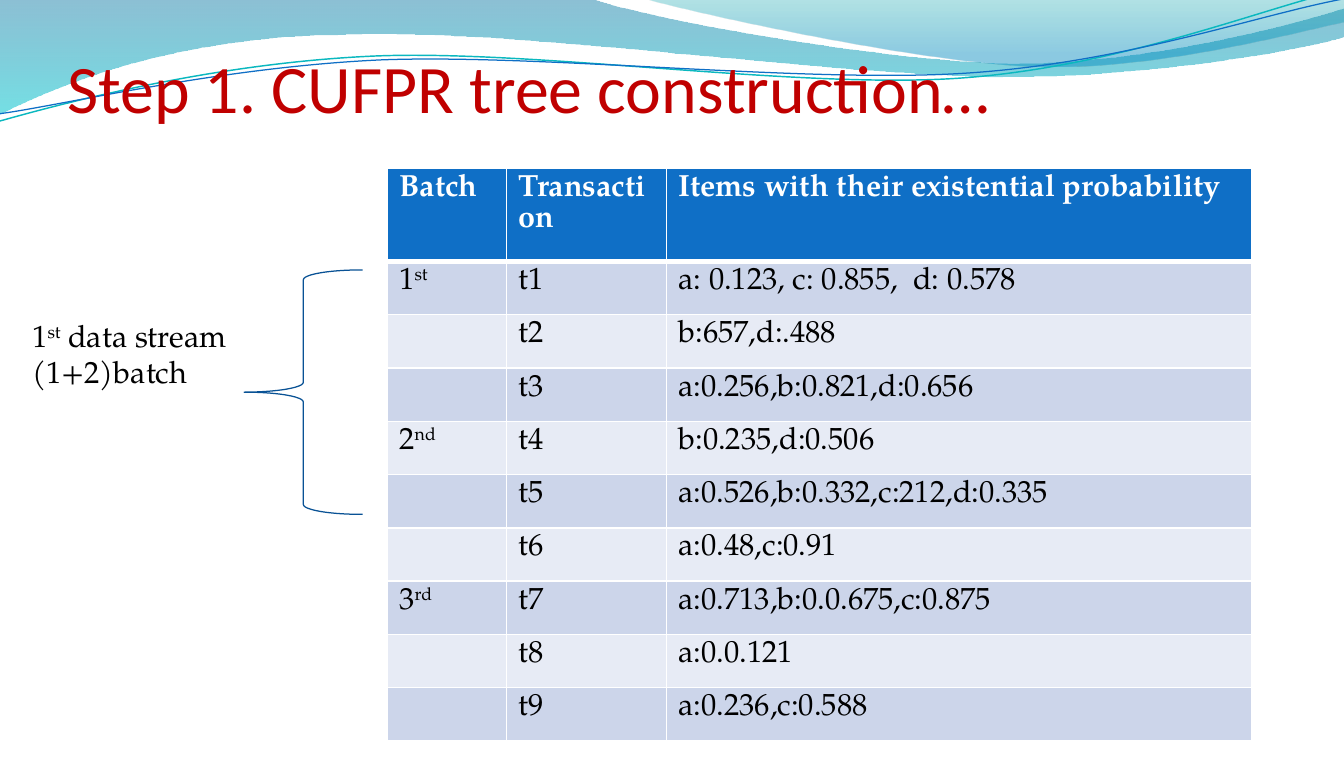
import math
import pptx
import pptx.util
import pptx.dml.color
import pptx.enum.shapes
import pptx.enum.text
import pptx.oxml
import pptx.oxml.ns
import lxml.etree

Pt = pptx.util.Pt
RGBColor = pptx.dml.color.RGBColor
qn = pptx.oxml.ns.qn

WHITE = RGBColor(0xFF, 0xFF, 0xFF)
BLACK = RGBColor(0, 0, 0)
RED = RGBColor(0xC0, 0, 0)
BLUE = RGBColor(0x0F, 0x6F, 0xC6)
CYAN = RGBColor(0x0A, 0xB8, 0xBF)
NAVY = RGBColor(0x09, 0x52, 0x95)
BAND_DARK = RGBColor(0xCC, 0xD5, 0xEA)
BAND_LIGHT = RGBColor(0xE7, 0xEB, 0xF5)
DEEP_BLUE = RGBColor(0, 0x74, 0xA1)
TURQUOISE = RGBColor(0, 0xC6, 0xCF)
TEAL = RGBColor(0, 0xA1, 0xA9)
SKY = RGBColor(0, 0x8B, 0xBF)
SERIF = "TeX Gyre Pagella"
TILT = -2.7

WAVES = [
    ([(0, 0), (348.5, -0.7),
      (376.6, 10.1, 525.6, 37.4, 600.5, 37.4), (675.4, 37.4, 758.9, 15.1, 792, 5),
      (792.7, 21.6), (779, 26.6, 689, 45.4, 590.4, 45.4),
      (492.5, 45.4, 302.4, 16.6, 203.8, 20.5), (102.2, 21.6, 36, 49.7, -0.7, 67.7),
      (0, 0)],
     [(0, DEEP_BLUE, 45), (1, TURQUOISE, 55)]),
    ([(379.4, -0.7), (403.2, 6.5, 540, 36.7, 609.1, 38.9),
      (677.5, 41.8, 761.8, 19.4, 792, 13), (792, 0), (379.4, -0.7)],
     [(0, TEAL, 30), (0.8, SKY, 45)]),
]
STRANDS = [
    ([(0, 71.3), (38.2, 60.5, 125.3, 37.4, 218.9, 33.1),
      (313.2, 28.8, 468.7, 52.6, 564.5, 46.1), (659.5, 39.6, 743.8, 5, 790.6, -5.8)],
     (395.3, 34.2), CYAN, 0.85),
    ([(0, 67), (37.4, 61.9, 129.6, 39.6, 224.6, 35.3),
      (319, 31.7, 473, 49, 567.4, 43.2), (662.4, 37.4, 741.6, 8.6, 792, -0.7)],
     (396, 35.3), BLUE, 0.75),
]
HEADER = ("Batch", "Transaction", "Items with their existential probability")
COLUMNS = (70.2, 94.3, 345)
ITEMS = [
    "a: 0.123, c: 0.855,  d: 0.578", "b:657,d:.488", "a:0.256,b:0.821,d:0.656",
    "b:0.235,d:0.506", "a:0.526,b:0.332,c:212,d:0.335", "a:0.48,c:0.91",
    "a:0.713,b:0.0.675,c:0.875", "a:0.0.121", "a:0.236,c:0.588",
]
BATCHES = {1: ("1", "st "), 4: ("2", "nd "), 7: ("3", "rd ")}


def level(steps, pivot):
    """Turn the steps about the pivot so that the tilt is undone."""
    sine, cosine = math.sin(math.radians(-TILT)), math.cos(math.radians(-TILT))
    turned = []
    for step in steps:
        flat = []
        for x, y in zip(step[::2], step[1::2]):
            x, y = x - pivot[0], y - pivot[1]
            flat += [pivot[0] + x * cosine - y * sine, pivot[1] + x * sine + y * cosine]
        turned.append(tuple(flat))
    return turned


def add_outline(page, left, top, steps, close):
    """Draw an outline of straight and cubic steps."""
    ends = [(Pt(left + step[-2]), Pt(top + step[-1])) for step in steps]
    builder = page.shapes.build_freeform(*ends[0], scale=1.0)
    builder.add_line_segments(ends[1:], close=close)
    shape = builder.convert_to_shape()
    shape.shadow.inherit = False
    segments = list(shape.element.spPr.iter(qn("a:lnTo")))
    for segment, step in zip(segments, steps[1:]):
        if len(step) == 6:
            curve = lxml.etree.Element(qn("a:cubicBezTo"))
            for x, y in zip(step[::2], step[1::2]):
                lxml.etree.SubElement(
                    curve, qn("a:pt"), x=str(Pt(left + x) - shape.left),
                    y=str(Pt(top + y) - shape.top))
            segment.getparent().replace(segment, curve)
    return shape


def add_banner(page, left, top):
    """Draw the waves and strands along the top."""
    for steps, stops in WAVES:
        wave = add_outline(page, left, top, steps, True)
        wave.line.fill.background()
        wave.fill.gradient()
        wave.fill.gradient_angle = 270
        for stop, (position, color, _) in zip(wave.fill.gradient_stops, stops):
            stop.position = position
            stop.color.rgb = color
        tints = wave.element.spPr.iter(qn("a:srgbClr"))
        for tint, (_, _, opacity) in zip(tints, stops):
            lxml.etree.SubElement(tint, qn("a:alpha"), val=str(opacity * 1000))
    for steps, pivot, color, width in STRANDS:
        strand = add_outline(page, left, top, level(steps, pivot), False)
        strand.rotation = TILT
        strand.fill.background()
        strand.line.color.rgb = color
        strand.line.width = Pt(width)


def set_font(para, name, size, color, bold=False):
    """Set the font of a paragraph."""
    para.font.name = name
    para.font.size = Pt(size)
    para.font.color.rgb = color
    para.font.bold = bold


def add_spans(para, parts):
    """Add text parts, raising every second one."""
    for index, text in enumerate(parts):
        span = para.add_run()
        span.text = text
        if index % 2:
            span.font._element.set("baseline", "30000")


def add_title(page, left, top, width, height):
    """Place the title at the bottom of its box."""
    box = page.shapes.add_textbox(Pt(left), Pt(top), Pt(width), Pt(height))
    frame = box.text_frame
    frame.word_wrap = True
    frame.vertical_anchor = pptx.enum.text.MSO_ANCHOR.BOTTOM
    frame.margin_left = frame.margin_right = frame.margin_bottom = 0
    para = frame.paragraphs[0]
    para.text = "Step 1. CUFPR tree construction…"
    set_font(para, "Calibri", 40, RED)


def set_borders(cell, bottom):
    """Give a cell white borders."""
    properties = cell._tc.get_or_add_tcPr()
    for index, (side, width) in enumerate(zip("LRTB", (1, 1, 1, bottom))):
        line = lxml.etree.Element(qn("a:ln" + side), w=str(Pt(width)))
        fill = lxml.etree.SubElement(line, qn("a:solidFill"))
        lxml.etree.SubElement(fill, qn("a:srgbClr"), val=str(WHITE))
        properties.insert(index, line)


def add_transactions(page, left, top, width, height):
    """Place the table of batches and transactions."""
    rows = [[(text,) for text in HEADER]]
    for number, items in enumerate(ITEMS, 1):
        rows.append([BATCHES.get(number, ()), (f"t{number}",), (items,)])
    table = page.shapes.add_table(
        len(rows), len(HEADER), Pt(left), Pt(top), Pt(width), Pt(height)).table
    for column, share in zip(table.columns, COLUMNS):
        column.width = Pt(width * share / sum(COLUMNS))
    header_height = 55
    for r, texts in enumerate(rows):
        table.rows[r].height = Pt((height - header_height) / len(ITEMS) if r else header_height)
        band = (BAND_DARK if r % 2 else BAND_LIGHT) if r else BLUE
        for c, parts in enumerate(texts):
            cell = table.cell(r, c)
            cell.fill.solid()
            cell.fill.fore_color.rgb = band
            set_borders(cell, 1 if r else 3)
            para = cell.text_frame.paragraphs[0]
            para.line_spacing = Pt(18)
            set_font(para, SERIF, 18, BLACK if r else WHITE, not r)
            add_spans(para, parts)


def add_stream(page, left, top, width, height):
    """Place the data stream label and its brace."""
    brace = page.shapes.add_shape(
        pptx.enum.shapes.MSO_SHAPE.LEFT_BRACE,
        Pt(left + width - 69.8), Pt(top), Pt(69.8), Pt(height))
    brace.shadow.inherit = False
    brace.fill.background()
    brace.line.color.rgb = NAVY
    brace.line.width = Pt(0.75)
    box = page.shapes.add_textbox(Pt(left), Pt(top + 24), Pt(width - 70), Pt(51))
    box.text_frame.word_wrap = True
    para = box.text_frame.paragraphs[0]
    set_font(para, SERIF, 18, BLACK)
    add_spans(para, ("1", "st", " data stream (1+2)batch"))


deck = pptx.Presentation()
deck.slide_width, deck.slide_height = Pt(792), Pt(450)
page = deck.slides.add_slide(deck.slide_layouts[6])
add_banner(page, 0, 0)
add_title(page, 39.6, 0, 712.8, 75)
add_transactions(page, 228.2, 99, 509.5, 337.5)
add_stream(page, 12, 159, 201.7, 144)
deck.save("out.pptx")
